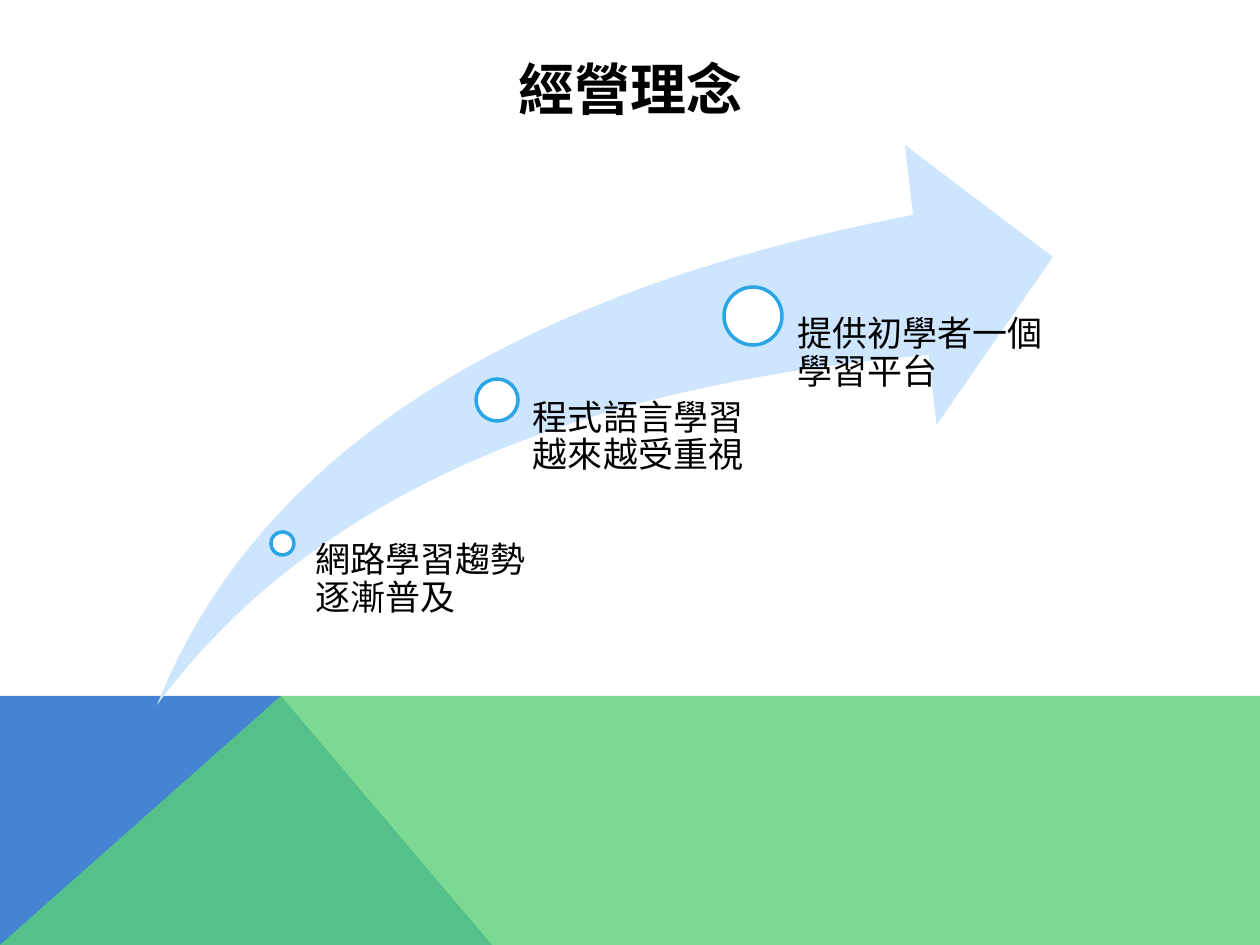
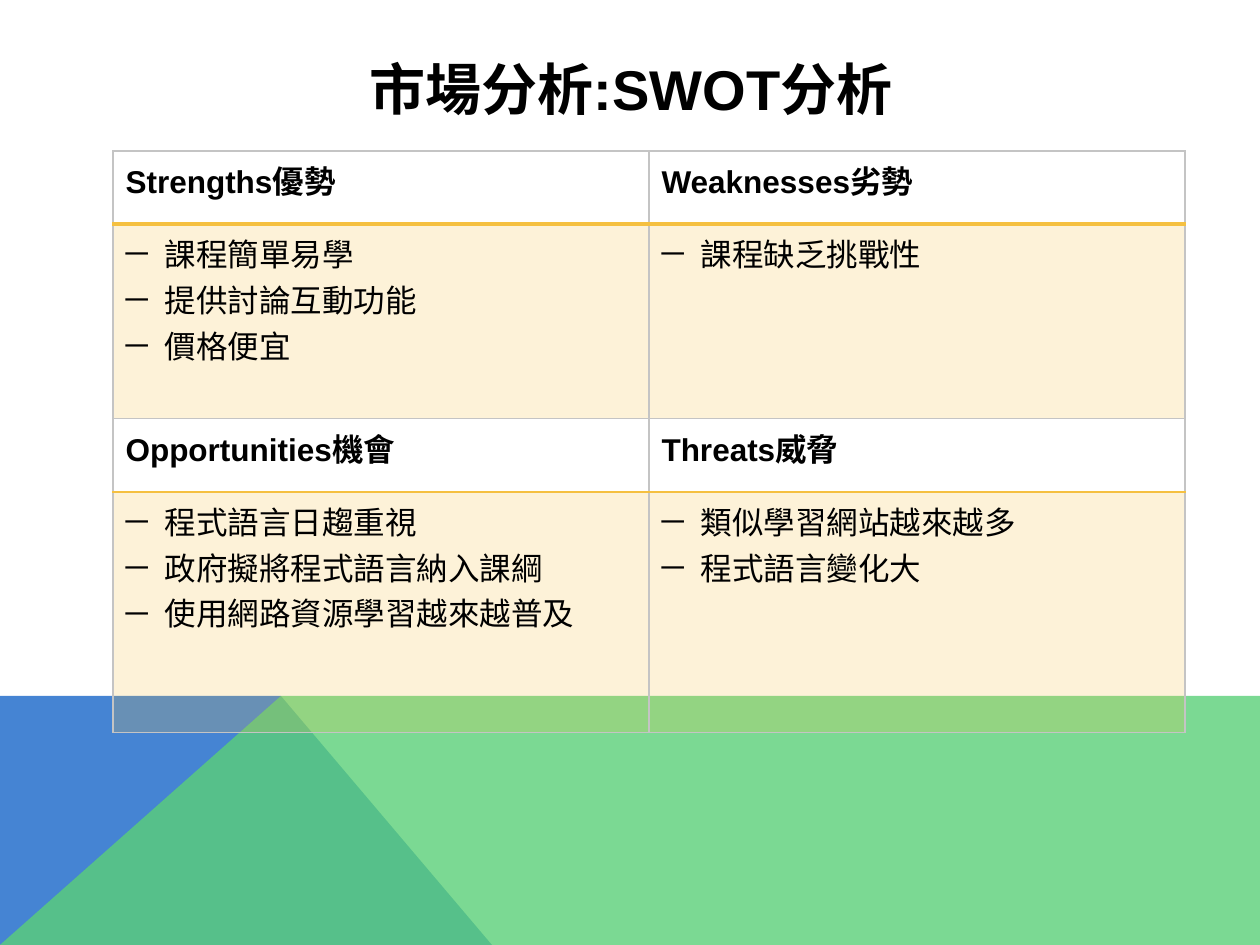
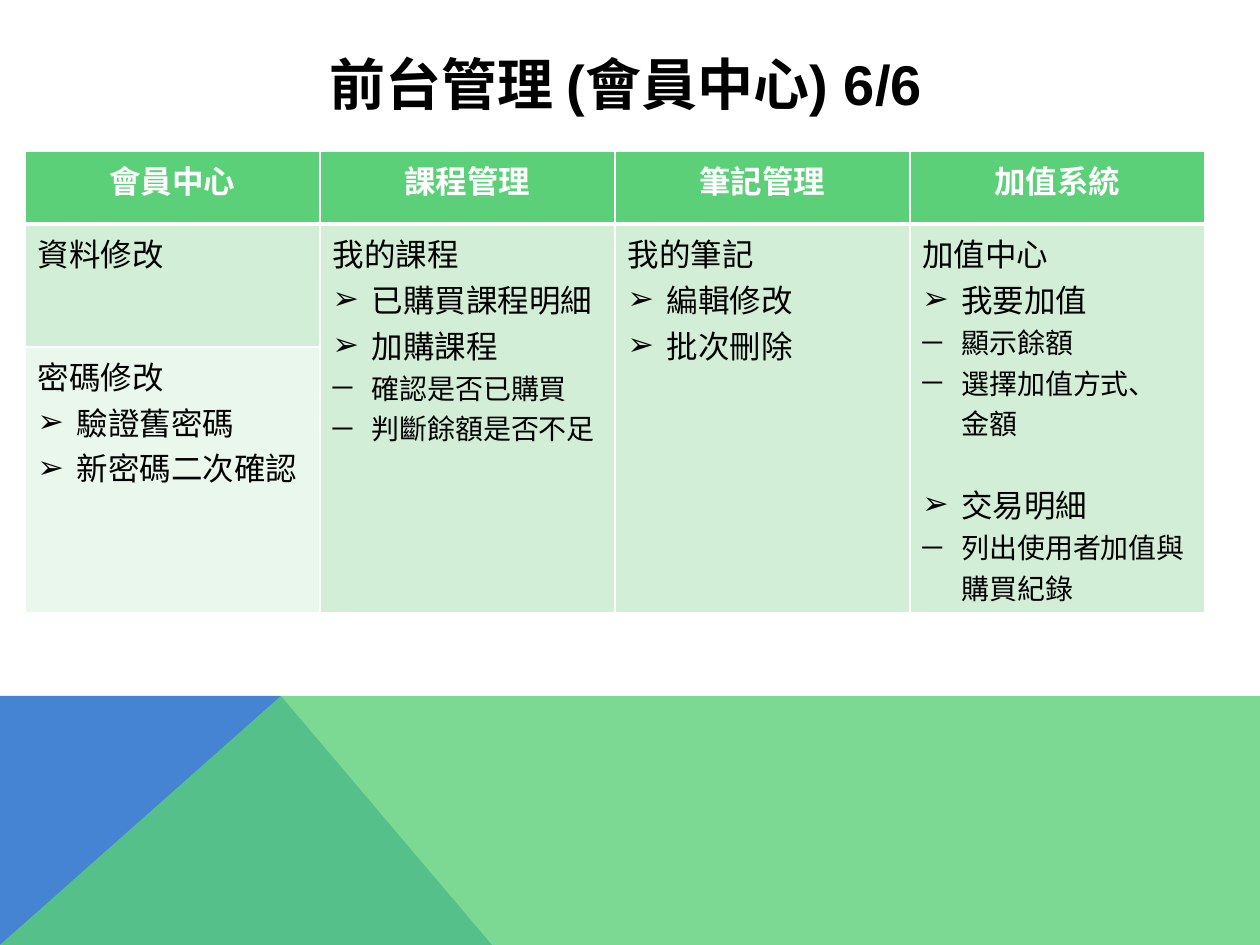
from dataclasses import dataclass

from lxml.etree import SubElement
from pptx import Presentation
from pptx.dml.color import RGBColor
from pptx.enum.shapes import MSO_SHAPE as Shape
from pptx.enum.text import MSO_ANCHOR as Anchor, PP_ALIGN as Align
from pptx.oxml.ns import qn
from pptx.util import Emu, Pt

EMU_PER_PX = 914400 / 126
WIDTH, HEIGHT = 1260, 945
BAND_TOP, BAND_PEAK = 696, 281
BULLET_INDENT = 39

BLACK = RGBColor(0x00, 0x00, 0x00)
WHITE = RGBColor(0xFF, 0xFF, 0xFF)
BLUE = RGBColor(0x45, 0x84, 0xD3)
GREEN = RGBColor(0x5B, 0xD0, 0x78)
LIGHT_GREEN = RGBColor(0xD2, 0xEE, 0xD6)
PALE_GREEN = RGBColor(0xEA, 0xF7, 0xEC)
SKY = RGBColor(0xCE, 0xE5, 0xFE)
RING_BLUE = RGBColor(0x2C, 0xA5, 0xE6)
GOLD = RGBColor(0xF5, 0xC0, 0x40)
GRID_GRAY = RGBColor(0xC4, 0xC4, 0xC4)


@dataclass
class Line:
    text: str
    marker: str = ""
    size: int = 18
    indent: int = 0
    gap: int = 0


def arrow(text, gap=0):
    return Line(text, "➢", indent=BULLET_INDENT, gap=gap)


def dash(text, size=18):
    return Line(text, "─", size, BULLET_INDENT)


def px(length):
    return Emu(round(length * EMU_PER_PX))


class Deck:
    def __init__(self):
        self.presentation = Presentation()
        self.presentation.slide_width = px(WIDTH)
        self.presentation.slide_height = px(HEIGHT)
        self.slide = None

    def new_slide(self, title, left=113, top=50):
        self.slide = self.presentation.slides.add_slide(self.presentation.slide_layouts[6])
        self.polygon([(0, HEIGHT), (0, BAND_TOP), (BAND_PEAK, BAND_TOP), (492, HEIGHT)], BLUE)
        self.polygon([(0, HEIGHT), (BAND_PEAK, BAND_TOP), (WIDTH, BAND_TOP), (WIDTH, HEIGHT)],
                     GREEN, 80)
        self.text(title, left, top, 1036, 76, size=32, bold=True, align=Align.CENTER,
                  anchor=Anchor.MIDDLE)

    def paint(self, fill, color, opacity=100):
        fill.solid()
        fill.fore_color.rgb = color
        if opacity < 100:
            for node in fill._xPr.iter(qn("a:srgbClr")):
                if node.getparent().getparent() is fill._xPr:
                    SubElement(node, qn("a:alpha"), val=str(opacity * 1000))

    def finish(self, shape, color, opacity=100, line=None):
        shape.shadow.inherit = False
        self.paint(shape.fill, color, opacity)
        if line:
            shape.line.color.rgb = line
            shape.line.width = Pt(2)
        else:
            shape.line.fill.background()

    def polygon(self, points, color, opacity=100):
        start, *others = [(px(x), px(y)) for x, y in points]
        builder = self.slide.shapes.build_freeform(*start)
        builder.add_line_segments(others, close=True)
        self.finish(builder.convert_to_shape(), color, opacity)

    def shape(self, kind, left, top, width, height, color, line=None):
        shape = self.slide.shapes.add_shape(kind, px(left), px(top), px(width), px(height))
        self.finish(shape, color, line=line)
        return shape

    def format(self, paragraph, size, color=BLACK, bold=False, font="Arial"):
        for run in paragraph.runs:
            run.font.name = font
            run.font.size = Pt(size)
            run.font.bold = bold
            run.font.color.rgb = color

    def text(self, text, left, top, width, height, size=20, bold=False, align=Align.LEFT,
             anchor=Anchor.TOP, inset=0, spacing=None):
        box = self.slide.shapes.add_textbox(px(left), px(top), px(width), px(height))
        text_frame = box.text_frame
        text_frame.word_wrap = True
        text_frame.vertical_anchor = anchor
        text_frame.margin_left = px(inset)
        text_frame.margin_top = text_frame.margin_right = text_frame.margin_bottom = 0
        text_frame.text = text
        paragraph = text_frame.paragraphs[0]
        paragraph.alignment = align
        paragraph.line_spacing = spacing
        self.format(paragraph, size, bold=bold)

    def table(self, left, top, column_widths, row_heights):
        frame = self.slide.shapes.add_table(
            len(row_heights), len(column_widths), px(left), px(top),
            px(sum(column_widths)), px(sum(row_heights)))
        table = frame.table
        table.first_row = table.horz_banding = False
        for column, width in zip(table.columns, column_widths):
            column.width = px(width)
        for row, height in zip(table.rows, row_heights):
            row.height = px(height)
        return table

    def borders(self, table, side, rules):
        for row_index, row in enumerate(table.rows):
            top, bottom = rules[row_index:row_index + 2]
            for cell in row.cells:
                properties = cell._tc.get_or_add_tcPr()
                for edge, (color, width) in zip("LRTB", (side, side, top, bottom)):
                    line = SubElement(properties, qn(f"a:ln{edge}"), w=str(Pt(width)))
                    solid = SubElement(line, qn("a:solidFill"))
                    SubElement(solid, qn("a:srgbClr"), val=str(color))

    def cell(self, cell, lines, fill=None, opacity=100, align=Align.LEFT, **style):
        if fill is None:
            cell.fill.background()
        else:
            self.paint(cell.fill, fill, opacity)
        cell.text_frame.text = "\n".join(line.text for line in lines)
        for paragraph, line in zip(cell.text_frame.paragraphs, lines):
            paragraph.alignment = align
            self.format(paragraph, line.size, **style)
            if line.gap:
                paragraph.space_before = Pt(line.gap)
            if line.indent:
                self.indent(paragraph, line)

    def indent(self, paragraph, line):
        properties = paragraph._p.get_or_add_pPr()
        properties.set("marL", str(px(line.indent)))
        properties.set("indent", str(-px(line.indent) if line.marker else 0))
        if line.marker:
            SubElement(properties, qn("a:buFont"), typeface="Arial")
            SubElement(properties, qn("a:buChar"), char=line.marker)


def philosophy_slide(deck):
    deck.new_slide("經營理念")
    swoosh = deck.shape(Shape.SWOOSH_ARROW, 157, 145, 896, 560, SKY)
    swoosh.adjustments[0] = swoosh.adjustments[1] = 0.25
    milestones = [
        ("網路學習趨勢逐漸普及", (271, 532, 23), (302, 542, 248, 161), 13),
        ("程式語言學習越來越受重視", (476, 379, 42), (511, 400, 248, 305), 22),
        ("提供初學者一個學習平台", (724, 287, 58), (766, 316, 294, 389), 31),
    ]
    for label, (left, top, diameter), box, inset in milestones:
        deck.shape(Shape.OVAL, left, top, diameter, diameter, WHITE, RING_BLUE)
        deck.text(label, *box, inset=inset, spacing=0.9)


def swot_slide(deck):
    deck.new_slide("市場分析:SWOT分析")
    quadrants = [
        [("Strengths優勢", ["課程簡單易學", "提供討論互動功能", "價格便宜"]),
         ("Weaknesses劣勢", ["課程缺乏挑戰性"])],
        [("Opportunities機會", ["程式語言日趨重視", "政府擬將程式語言納入課綱",
                              "使用網路資源學習越來越普及"]),
         ("Threats威脅", ["類似學習網站越來越多", "程式語言變化大"])],
    ]
    table = deck.table(113, 151, [536, 536], [73, 195, 73, 241])
    grid = (GRID_GRAY, 0.75)
    deck.borders(table, grid, [grid, (GOLD, 2), grid, (GOLD, 1.5), grid])
    for pair_index, pair in enumerate(quadrants):
        for column, (heading, points) in enumerate(pair):
            row = 2 * pair_index
            deck.cell(table.cell(row, column), [Line(heading)], bold=True)
            deck.cell(table.cell(row + 1, column), [dash(point) for point in points], GOLD, 20)


def member_slide(deck):
    deck.new_slide("前台管理 (會員中心) 6/6", 108, 45)
    table = deck.table(25, 151, [295] * 4, [73, 123, 266])
    thin = (WHITE, 1)
    deck.borders(table, thin, [thin, (WHITE, 3), thin, thin])
    for column, heading in enumerate(["會員中心", "課程管理", "筆記管理", "加值系統"]):
        deck.cell(table.cell(0, column), [Line(heading)], GREEN, align=Align.CENTER,
                  color=WHITE, bold=True, font="Cabin")
        if column:
            table.cell(1, column).merge(table.cell(2, column))
    features = [
        (1, 0, LIGHT_GREEN, [Line("資料修改")]),
        (2, 0, PALE_GREEN, [Line("密碼修改"), arrow("驗證舊密碼"), arrow("新密碼二次確認")]),
        (1, 1, LIGHT_GREEN, [Line("我的課程"), arrow("已購買課程明細"), arrow("加購課程"),
                             dash("確認是否已購買", 16), dash("判斷餘額是否不足", 16)]),
        (1, 2, LIGHT_GREEN, [Line("我的筆記"), arrow("編輯修改"), arrow("批次刪除")]),
        (1, 3, LIGHT_GREEN, [Line("加值中心"), arrow("我要加值"), dash("顯示餘額", 16),
                             dash("選擇加值方式、", 16),
                             Line("金額", size=16, indent=BULLET_INDENT),
                             arrow("交易明細", gap=22),
                             dash("列出使用者加值與購買紀錄", 16)]),
    ]
    for row, column, fill, lines in features:
        deck.cell(table.cell(row, column), lines, fill, font="Cabin")


def main():
    deck = Deck()
    philosophy_slide(deck)
    swot_slide(deck)
    member_slide(deck)
    deck.presentation.save("out.pptx")


if __name__ == "__main__":
    main()
